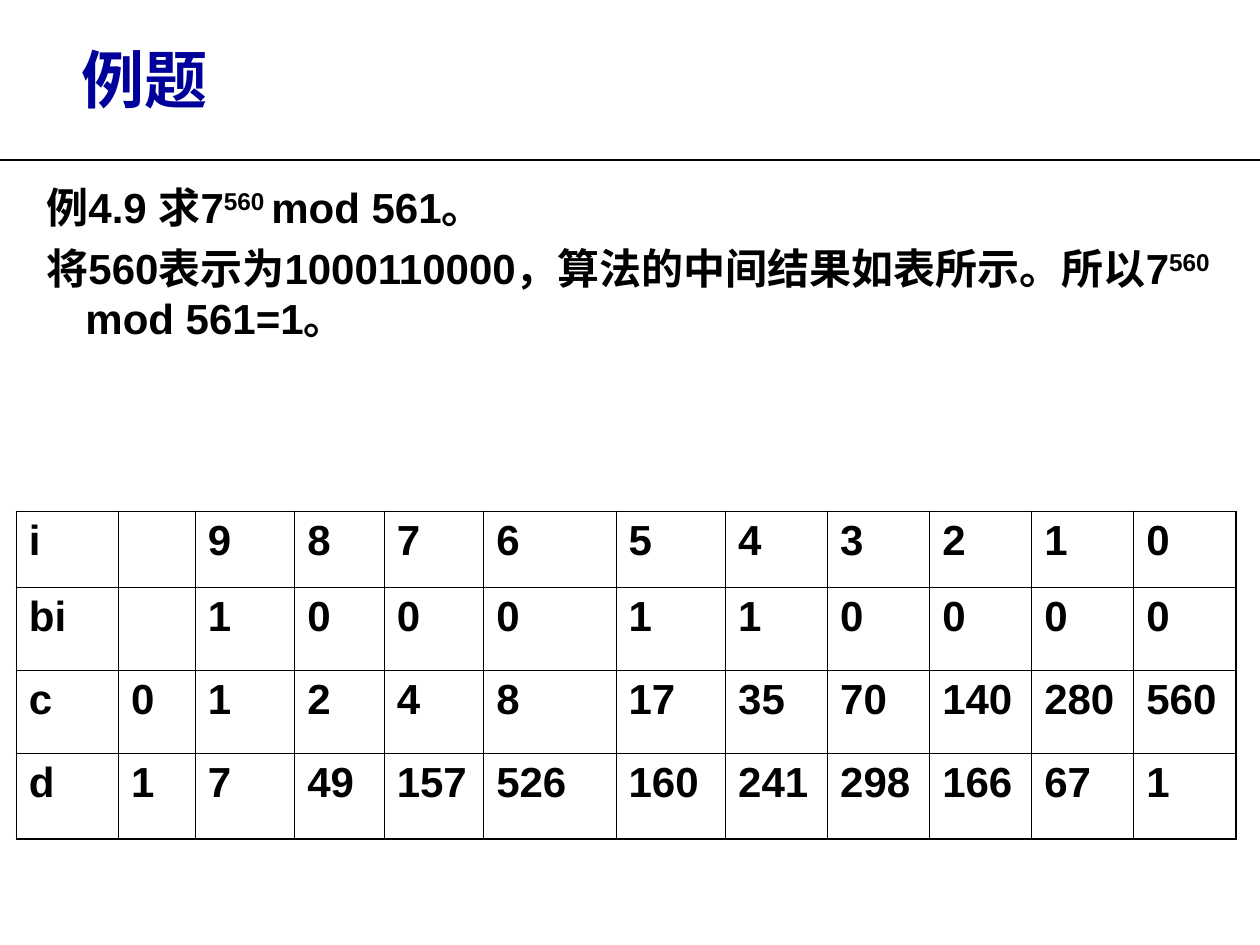
from lxml.etree import SubElement
from pptx import Presentation
from pptx.dml.color import RGBColor
from pptx.enum.shapes import MSO_CONNECTOR
from pptx.enum.text import MSO_ANCHOR
from pptx.oxml.ns import qn
from pptx.util import Inches, Pt

# Content: a body line is a list of (text, is superscript)
TITLE = "例题"
BODY = [
    [("例4.9 求7", False), ("560 ", True), ("mod 561。", False)],
    [("将560表示为1000110000，算法的中间结果如表所示。所以7", False),
     ("560 ", True), ("mod 561=1。", False)],
]
TABLE = [
    ["i", "", "9", "8", "7", "6", "5", "4", "3", "2", "1", "0"],
    ["bi", "", "1", "0", "0", "0", "1", "1", "0", "0", "0", "0"],
    ["c", "0", "1", "2", "4", "8", "17", "35", "70", "140", "280", "560"],
    ["d", "1", "7", "49", "157", "526", "160", "241", "298", "166", "67", "1"],
]
COLUMN_WIDTHS = [0.81, 0.61, 0.79, 0.71, 0.79, 1.05, 0.87] + [0.81] * 5
ROW_HEIGHTS = [0.6, 0.66, 0.66, 0.68]

THEME = {
    "title": {"font": "Lato", "size": 36, "color": "00009A"},
    "text": {"font": "Arial", "size": 24, "color": "000000"},
    "line": "000000",
    "rule": 1.5,
    "outer_border": 1.08,
    "inner_border": 0.45,
}


def add_span(para, text, style, superscript=False):
    span = para.add_run()
    span.text = text
    span.font.name = style["font"]
    span.font.size = Pt(style["size"])
    span.font.bold = True
    span.font.color.rgb = RGBColor.from_string(style["color"])
    if superscript:
        span._r.get_or_add_rPr().set("baseline", "30000")


def add_box(page, left, top, width, height, margin_x, margin_y, anchor):
    box = page.shapes.add_textbox(*map(Inches, (left, top, width, height)))
    frame = box.text_frame
    frame.word_wrap = True
    frame.vertical_anchor = anchor
    frame.margin_left = frame.margin_right = Inches(margin_x)
    frame.margin_top = frame.margin_bottom = Inches(margin_y)
    return frame


def hang(para, indent):
    properties = para._p.get_or_add_pPr()
    properties.set("marL", str(Inches(indent)))
    properties.set("indent", str(-Inches(indent)))


def add_border(cell, side, width):
    line = SubElement(cell._tc.get_or_add_tcPr(), qn(f"a:ln{side}"), w=str(Pt(width)))
    fill = SubElement(line, qn("a:solidFill"))
    SubElement(fill, qn("a:srgbClr"), val=THEME["line"])


def add_rule(page):
    rule = page.shapes.add_connector(
        MSO_CONNECTOR.STRAIGHT, Inches(10), Inches(1.27), Inches(0), Inches(1.27))
    rule.line.color.rgb = RGBColor.from_string(THEME["line"])
    rule.line.width = Pt(THEME["rule"])
    SubElement(rule._element.spPr, qn("a:effectLst"))


def add_results(page):
    table = page.shapes.add_table(
        len(TABLE), len(TABLE[0]), Inches(0.13), Inches(4.06),
        Inches(sum(COLUMN_WIDTHS)), Inches(sum(ROW_HEIGHTS))).table
    table.first_row = table.horz_banding = False
    for column, width in zip(table.columns, COLUMN_WIDTHS):
        column.width = Inches(width)
    for row, height in zip(table.rows, ROW_HEIGHTS):
        row.height = Inches(height)

    last_row, last_column = len(TABLE) - 1, len(TABLE[0]) - 1
    for r, values in enumerate(TABLE):
        for c, value in enumerate(values):
            cell = table.cell(r, c)
            if value:
                add_span(cell.text_frame.paragraphs[0], value, THEME["text"])
            # Heavier borders run around the outside only
            outside = {"L": c == 0, "R": c == last_column,
                       "T": r == 0, "B": r == last_row}
            for side, is_outer in outside.items():
                add_border(cell, side, THEME["outer_border" if is_outer else "inner_border"])
            cell.fill.background()


def main():
    deck = Presentation()
    deck.slide_width, deck.slide_height = Inches(10), Inches(7.5)
    page = deck.slides.add_slide(deck.slide_layouts[6])

    # Title and the rule under it
    add_rule(page)
    title = add_box(page, 0.4, 0, 9.6, 1.25, 0.25, 0.1, MSO_ANCHOR.MIDDLE)
    hang(title.paragraphs[0], 0.37)
    add_span(title.paragraphs[0], TITLE, THEME["title"])

    # Worked example
    body = add_box(page, 0.27, 1.39, 9.45, 1.89, 0.1, 0.05, MSO_ANCHOR.TOP)
    for index, spans in enumerate(BODY):
        para = body.add_paragraph() if index else body.paragraphs[0]
        hang(para, 0.31)
        if index:
            para.space_before = Pt(6)
        for text, superscript in spans:
            add_span(para, text, THEME["text"], superscript)

    # Intermediate results
    add_results(page)
    deck.save("out.pptx")


if __name__ == "__main__":
    main()
